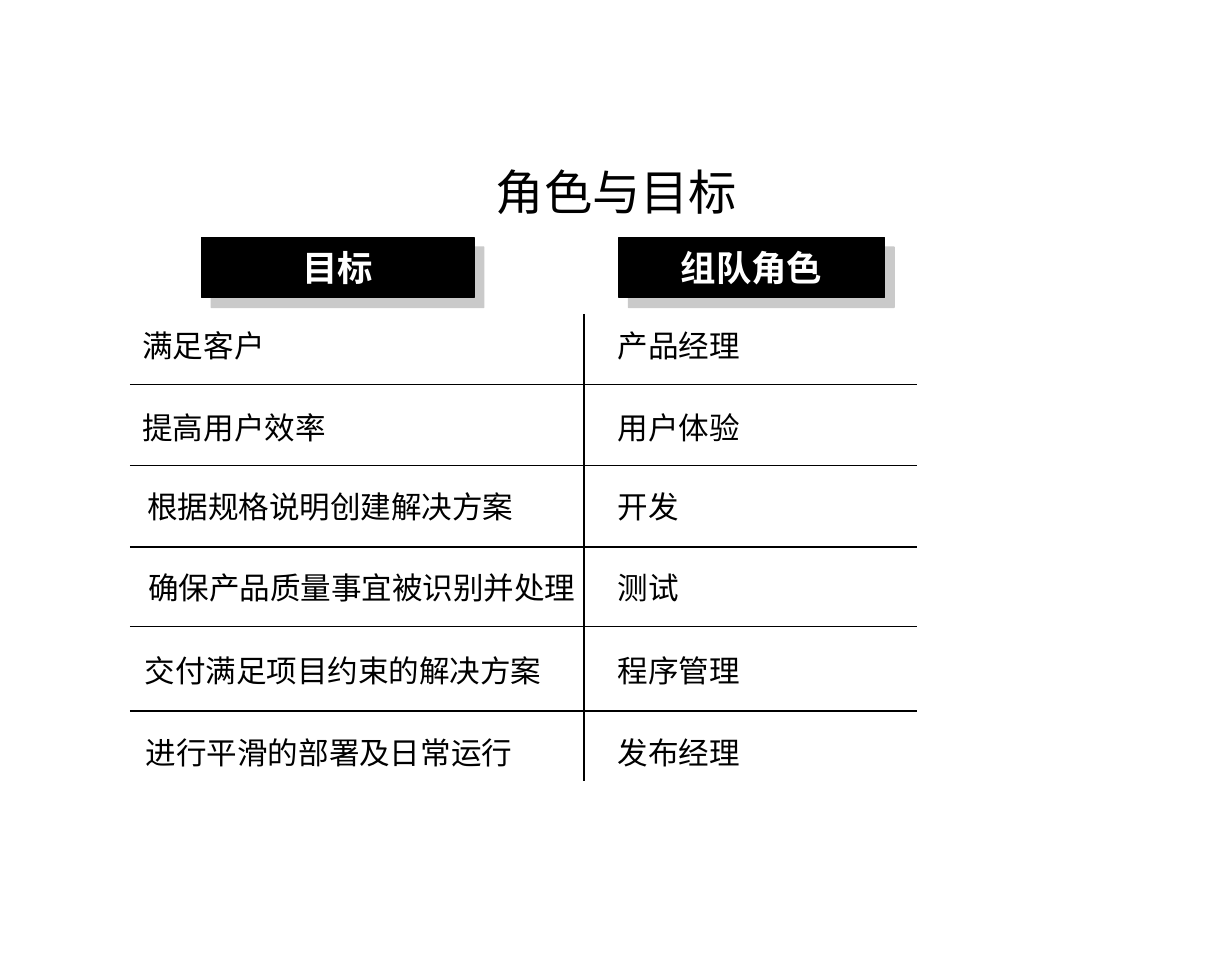
from dataclasses import dataclass

from lxml import etree
from pptx import Presentation
from pptx.dml.color import RGBColor
from pptx.enum.shapes import MSO_CONNECTOR, MSO_SHAPE
from pptx.enum.text import MSO_ANCHOR, PP_ALIGN
from pptx.oxml import parse_xml
from pptx.oxml.ns import nsdecls, qn
from pptx.util import Inches, Pt


@dataclass(frozen=True)
class Theme:
    black: RGBColor = RGBColor(0, 0, 0)
    white: RGBColor = RGBColor(255, 255, 255)
    shadow: str = "969696"
    title_size: int = 30
    header_size: int = 22
    body_size: int = 19
    title_font: str = "Times New Roman"
    main_font: str = "Arial Narrow"
    goal_font: str = "Roboto"


T = Theme()


def write(tf, text, size, font, color, align=PP_ALIGN.LEFT, bold=False):
    tf.text = text
    tf.margin_left = tf.margin_right = Inches(0.11)
    tf.margin_top = tf.margin_bottom = Inches(0.05)
    p = tf.paragraphs[0]
    p.alignment = align
    f = p.runs[0].font
    f.size, f.name, f.bold = Pt(size), font, bold
    f.color.rgb = color


def rule(x1, y1, x2, y2):
    ln = s.shapes.add_connector(MSO_CONNECTOR.STRAIGHT, Inches(x1), Inches(y1),
                                Inches(x2), Inches(y2))
    ln.line.color.rgb = T.black
    ln.line.width = Pt(1)
    etree.SubElement(ln._element.spPr, qn("a:effectLst"))


prs = Presentation()
prs.slide_width, prs.slide_height = Inches(10.63), Inches(8.27)
s = prs.slides.add_slide(prs.slide_layouts[5])

# Title
title = s.shapes.title
title.left, title.top = Inches(0.8), Inches(1.19)
title.width, title.height = Inches(9.04), Inches(0.92)
write(title.text_frame, "角色与目标", T.title_size, T.title_font, T.black, PP_ALIGN.CENTER)
title.text_frame.vertical_anchor = MSO_ANCHOR.MIDDLE

# Column headers with offset shadows
for text, left, width in [("目标", 1.74, 2.35), ("组队角色", 5.34, 2.29)]:
    sp = s.shapes.add_shape(MSO_SHAPE.RECTANGLE, Inches(left), Inches(2.05),
                            Inches(width), Inches(0.52))
    sp.fill.solid()
    sp.fill.fore_color.rgb = T.black
    sp.line.color.rgb = T.black
    sp.line.width = Pt(1)
    sp._element.spPr.append(parse_xml(
        f'<a:effectLst {nsdecls("a")}><a:outerShdw dist="{Pt(8.5)}" dir="2700000" '
        f'algn="ctr" rotWithShape="0"><a:srgbClr val="{T.shadow}">'
        '<a:alpha val="50000"/></a:srgbClr></a:outerShdw></a:effectLst>'))
    write(sp.text_frame, text, T.header_size, T.main_font, T.white, PP_ALIGN.CENTER, True)
    sp.text_frame.vertical_anchor = MSO_ANCHOR.MIDDLE

# Rows: top, goal, goal left, role
rows = [
    (2.77, "满足客户", 1.12, "产品经理"),
    (3.48, "提高用户效率", 1.12, "用户体验"),
    (4.16, "根据规格说明创建解决方案", 1.16, "开发"),
    (4.86, "确保产品质量事宜被识别并处理", 1.17, "测试"),
    (5.58, "交付满足项目约束的解决方案", 1.14, "程序管理"),
    (6.29, "进行平滑的部署及日常运行", 1.15, "发布经理"),
]
for i, (top, goal, goal_left, role) in enumerate(rows):
    goal_font = T.goal_font if i else T.main_font
    for text, left, width, font in [(goal, goal_left, 3.96, goal_font),
                                    (role, 5.22, 2.54, T.main_font)]:
        tb = s.shapes.add_textbox(Inches(left), Inches(top), Inches(width), Inches(0.43))
        tb.text_frame.word_wrap = True
        write(tb.text_frame, text, T.body_size, font, T.black)

# Row rules and column divider
for y in (3.32, 4.02, 4.72, 5.41, 6.14):
    rule(1.12, y, 7.91, y)
rule(5.04, 2.71, 5.04, 6.74)

prs.save("out.pptx")
